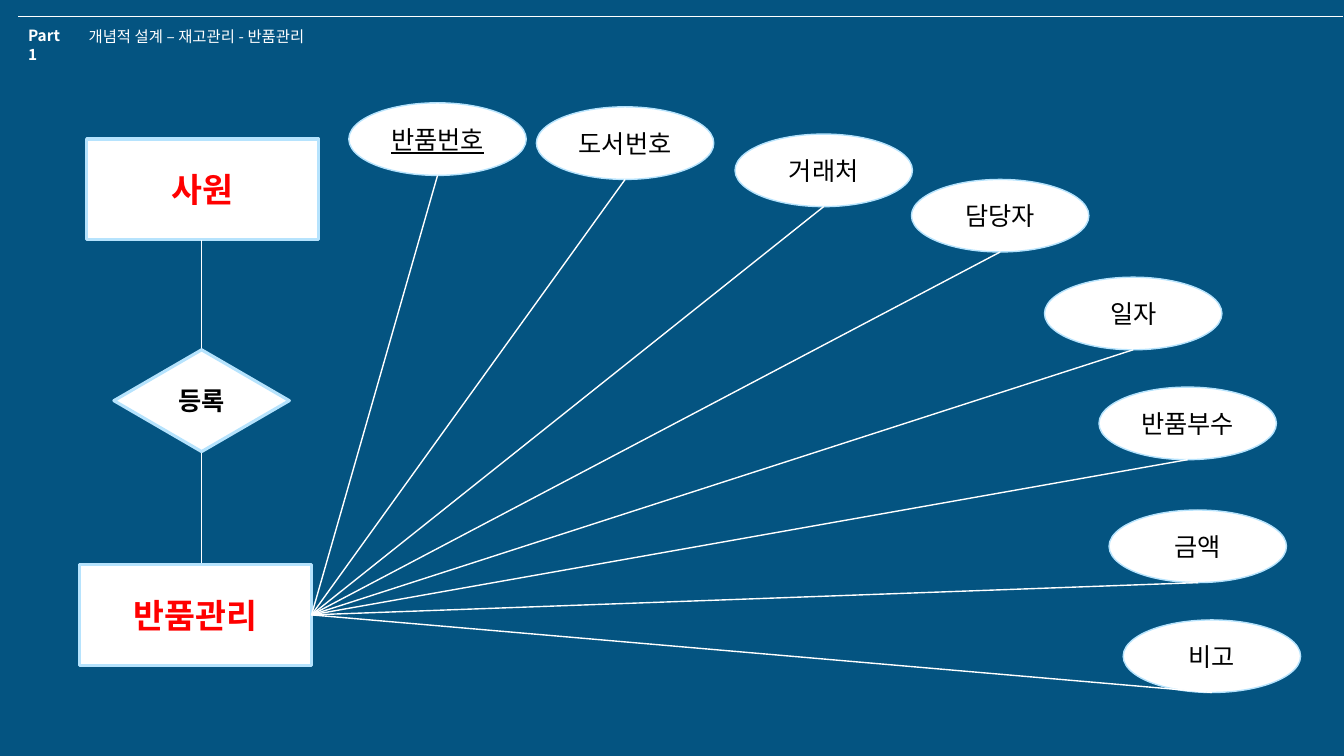
from dataclasses import dataclass

from lxml import etree
from pptx import Presentation
from pptx.dml.color import RGBColor
from pptx.enum.shapes import MSO_CONNECTOR, MSO_SHAPE
from pptx.enum.text import MSO_ANCHOR, PP_ALIGN
from pptx.oxml.ns import qn
from pptx.util import Inches, Pt

STRAIGHT = MSO_CONNECTOR.STRAIGHT
RECT, DIAMOND, OVAL = MSO_SHAPE.RECTANGLE, MSO_SHAPE.FLOWCHART_DECISION, MSO_SHAPE.OVAL
MIDDLE, CENTER = MSO_ANCHOR.MIDDLE, PP_ALIGN.CENTER


@dataclass(frozen=True)
class Theme:
    background: RGBColor = RGBColor(0x04, 0x54, 0x81)
    white: RGBColor = RGBColor(0xFF, 0xFF, 0xFF)
    black: RGBColor = RGBColor(0, 0, 0)
    red: RGBColor = RGBColor(0xFF, 0, 0)
    border: RGBColor = RGBColor(0xB6, 0xE3, 0xFD)
    font: str = "Noto Sans CJK KR"
    header_size: int = 11
    label_size: int = 18
    entity_size: int = 24
    rule_width: float = 0.5
    thin: float = 1
    thick: float = 2.25


THEME = Theme()

ENTITY_SIZE = (2.3, 1)
ATTRIBUTE_SIZE = (1.76, 0.72)
RELATION_X = 2
HUB = (3.09, 6.1)
KEY_ATTRIBUTE = "반품번호"
ATTRIBUTES = [
    (KEY_ATTRIBUTE, 3.46, 1.02),
    ("도서번호", 5.32, 1.06),
    ("거래처", 7.29, 1.33),
    ("담당자", 9.04, 1.78),
    ("일자", 10.36, 2.75),
    ("반품부수", 10.9, 3.84),
    ("금액", 11, 5.06),
    ("비고", 11.14, 6.15),
]


def write_text(tf, text, size, color, bold=False, underline=False):
    p = tf.paragraphs[0]
    p.text = text
    p.font.name = THEME.font
    p.font.size = Pt(size)
    p.font.bold = bold
    p.font.underline = underline
    p.font.color.rgb = color
    # Korean glyphs take the East Asian typeface
    props = p._p.pPr.find(qn("a:defRPr"))
    etree.SubElement(props, qn("a:ea")).set("typeface", THEME.font)
    return p


def add_header(slide, text, box, bold=False, wrap=False):
    tf = slide.shapes.add_textbox(*map(Inches, box)).text_frame
    tf.word_wrap = wrap
    write_text(tf, text, THEME.header_size, THEME.white, bold)


def add_node(slide, kind, text, box, border_width, size, color, bold=False, underline=False):
    sp = slide.shapes.add_shape(kind, *map(Inches, box))
    sp.shadow.inherit = False
    sp.fill.solid()
    sp.fill.fore_color.rgb = THEME.white
    sp.line.color.rgb = THEME.border
    sp.line.width = Pt(border_width)
    tf = sp.text_frame
    tf.vertical_anchor = MIDDLE
    write_text(tf, text, size, color, bold, underline).alignment = CENTER


def add_entity(slide, text, left, top):
    add_node(slide, RECT, text, (left, top, *ENTITY_SIZE), THEME.thick,
             THEME.entity_size, THEME.red, bold=True)


def add_line(slide, start, end, width=THEME.thin):
    line = slide.shapes.add_connector(STRAIGHT, *map(Inches, (*start, *end)))
    line.line.color.rgb = THEME.white
    line.line.width = Pt(width)
    etree.SubElement(line._element.spPr, qn("a:effectLst"))


def add_attribute(slide, text, left, top):
    """Add an attribute oval and its line to the entity."""
    width, height = ATTRIBUTE_SIZE
    add_node(slide, OVAL, text, (left, top, width, height), THEME.thin,
             THEME.label_size, THEME.black, underline=text == KEY_ATTRIBUTE)
    add_line(slide, HUB, (left + width / 2, top + height))


def main():
    prs = Presentation()
    prs.slide_width, prs.slide_height = Inches(13.33), Inches(7.5)
    slide = prs.slides.add_slide(prs.slide_layouts[6])
    slide.background.fill.solid()
    slide.background.fill.fore_color.rgb = THEME.background

    add_line(slide, (0.18, 0.16), (13.32, 0.16), THEME.rule_width)
    add_header(slide, "개념적 설계 – 재고관리 - 반품관리", (0.78, 0.22, 2.51, 0.29))
    add_header(slide, "Part 1", (0.18, 0.21, 0.61, 0.29), bold=True, wrap=True)

    add_entity(slide, "사원", 0.86, 1.38)
    for top, bottom in ((2.38, 3.6), (4.16, 5.85)):
        add_line(slide, (RELATION_X, top), (RELATION_X, bottom))
    add_node(slide, DIAMOND, "등록", (1.13, 3.47, 1.74, 1.01), THEME.thick,
             THEME.label_size, THEME.black, bold=True)
    add_entity(slide, "반품관리", 0.79, 5.6)
    for attribute in ATTRIBUTES:
        add_attribute(slide, *attribute)

    prs.save("out.pptx")


if __name__ == "__main__":
    main()
